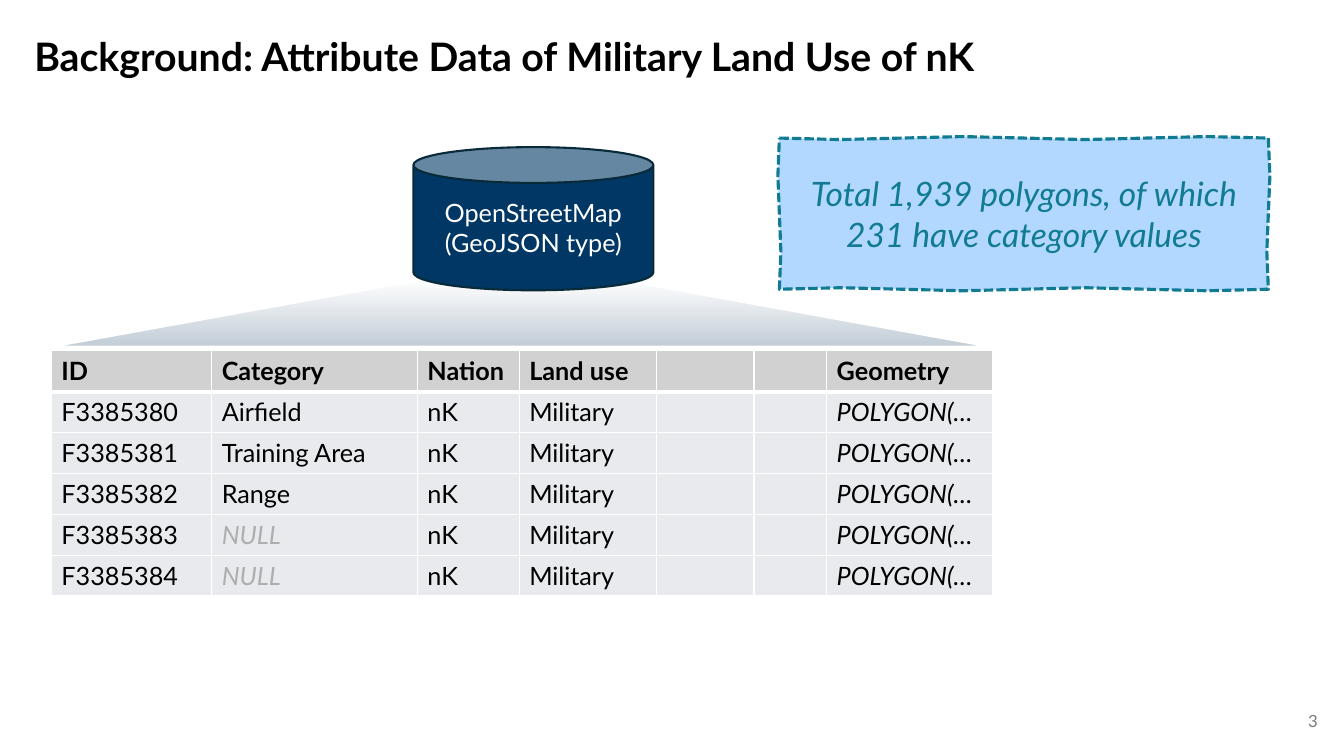
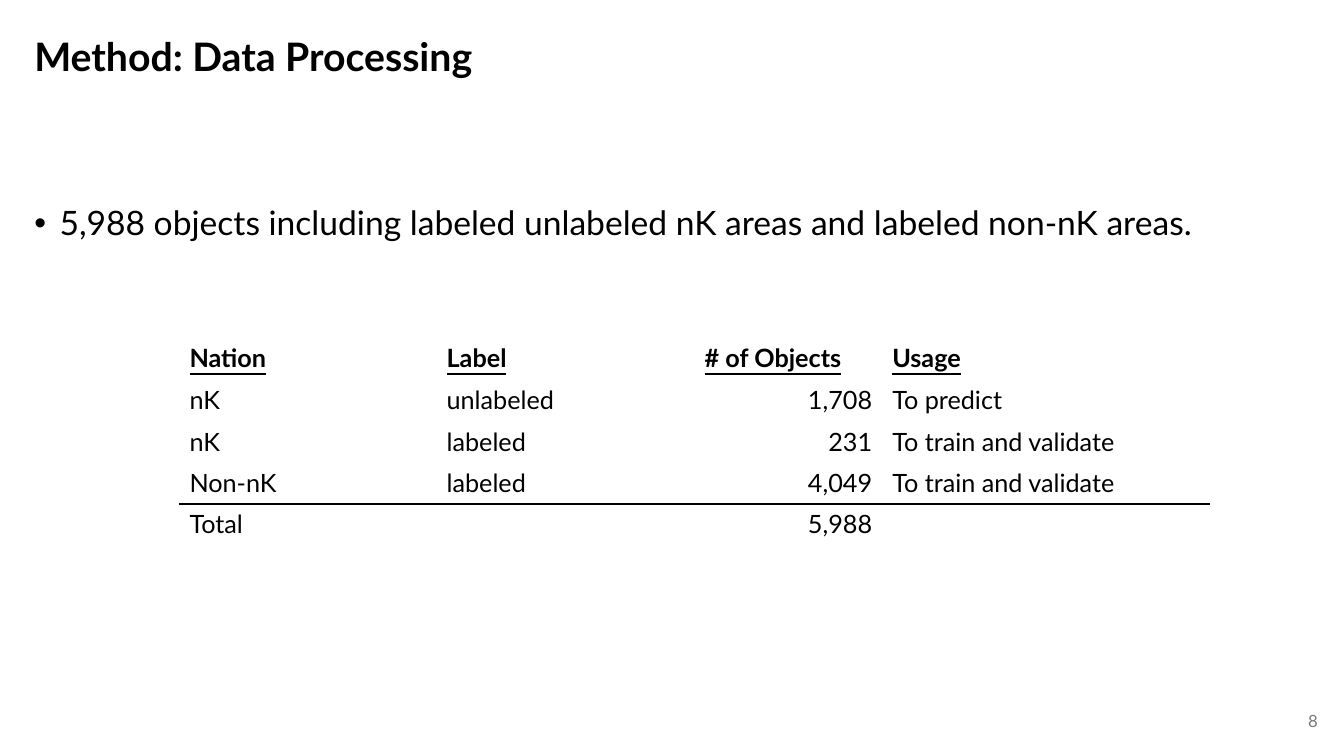
import math

from lxml import etree
from pptx import Presentation
from pptx import util as u
from pptx.dml.color import RGBColor
from pptx.enum import dml, shapes, text
from pptx.oxml import ns

# Shared look
FONT = "Lato"
BLACK, WHITE, GRAY, PALE_GRAY = "000000", "FFFFFF", "797979", "AEAEAE"
HEADER_FILL, ROW_FILL = "D1D1D1", "E8EAED"
NAVY, NAVY_LINE, SHADE = "003764", "092A39", "C2CDD7"
SKY, TEAL = "B3D8FF", "107B92"
rgb = RGBColor.from_string


def add_run(paragraph, wording, size, color=BLACK, bold=False, italic=False, underline=False):
    run = paragraph.add_run()
    run.text = wording
    run.font.name = FONT
    run.font.size = u.Pt(size)
    run.font.color.rgb = rgb(color)
    run.font.bold = bold
    run.font.italic = italic
    run.font.underline = underline


def add_grid(slide, left, top, widths, heights, rows, rules, fills=None, underline=False):
    """Table with white borders; rules maps a row to the (colour, points) below it."""
    table = slide.shapes.add_table(
        len(rows), len(widths), u.Inches(left), u.Inches(top),
        u.Inches(sum(widths)), u.Inches(sum(heights))).table
    table.first_row = table.horz_banding = False
    for column, width in zip(table.columns, widths):
        column.width = u.Inches(width)
    plain = (WHITE, 1)
    for r, wordings in enumerate(rows):
        table.rows[r].height = u.Inches(heights[r])
        for c, wording in enumerate(wordings):
            cell = table.cell(r, c)
            properties = cell._tc.get_or_add_tcPr()
            borders = {"lnL": plain, "lnR": plain,
                       "lnT": rules.get(r - 1, plain), "lnB": rules.get(r, plain)}
            for side, (color, points) in borders.items():
                border = etree.SubElement(properties, ns.qn("a:" + side), w=str(u.Pt(points)))
                solid = etree.SubElement(border, ns.qn("a:solidFill"))
                etree.SubElement(solid, ns.qn("a:srgbClr"), val=color)
            if fills:
                cell.fill.solid()
                cell.fill.fore_color.rgb = rgb(fills[0] if r == 0 else fills[1])
            else:
                cell.fill.background()
            if wording:
                paragraph = cell.text_frame.paragraphs[0]
                if wording.replace(",", "").isdigit():
                    paragraph.alignment = text.PP_ALIGN.RIGHT
                missing = wording == "NULL"
                add_run(paragraph, wording, 18, PALE_GRAY if missing else BLACK,
                        bold=r == 0, italic=missing or wording.startswith("POLYGON"),
                        underline=underline and r == 0)


presentation = Presentation()
presentation.slide_width = u.Inches(13.33)
presentation.slide_height = u.Inches(7.5)

# Titles and page numbers
slides = []
for layout, title, number in [
        (5, "Background: Attribute Data of Military Land Use of nK", "3"),
        (1, "Method: Data Processing", "8")]:
    slide = presentation.slides.add_slide(presentation.slide_layouts[layout])
    slides.append(slide)
    heading = slide.shapes.title
    heading.left, heading.top = u.Inches(0.24), u.Inches(0.15)
    heading.width, heading.height = u.Inches(12.93), u.Inches(0.87)
    page = slide.shapes.add_textbox(u.Inches(10.17), u.Inches(6.95), u.Inches(3), u.Inches(0.4))
    for shape, wording, size, color, alignment in [
            (heading, title, 28, BLACK, text.PP_ALIGN.LEFT),
            (page, number, 12, GRAY, text.PP_ALIGN.RIGHT)]:
        frame = shape.text_frame
        frame.word_wrap = True
        frame.auto_size = text.MSO_AUTO_SIZE.NONE
        frame.vertical_anchor = text.MSO_ANCHOR.MIDDLE
        frame.paragraphs[0].alignment = alignment
        add_run(frame.paragraphs[0], wording, size, color, bold=shape is heading)
    heading.text_frame.paragraphs[0].line_spacing = 0.9
background, method = slides

# Background: attribute table
categories = ["Airfield", "Training Area", "Range", "NULL", "NULL"]
attribute_rows = [["ID", "Category", "Nation", "Land use", "", "", "Geometry"]]
for index, category in enumerate(categories):
    attribute_rows.append(
        [f"F{3385380 + index}", category, "nK", "Military", "", "", "POLYGON(…"])
add_grid(background, 0.51, 3.48, [1.59, 2.04, 1.01, 1.36, 0.97, 0.72, 1.65], [2.43 / 6] * 6,
         attribute_rows, {0: (WHITE, 3)}, fills=(HEADER_FILL, ROW_FILL))

# Background: beam from the database to the table
beam = background.shapes.add_shape(
    shapes.MSO_SHAPE.TRAPEZOID, u.Inches(0.51), u.Inches(2.76), u.Inches(9.31), u.Inches(0.68))
beam.adjustments[0] = 5.514
beam.fill.gradient()
beam.fill.gradient_angle = 90
for stop, color in zip(beam.fill.gradient_stops, [SHADE, WHITE]):
    stop.color.rgb = rgb(color)

# Background: database
database = background.shapes.add_shape(
    shapes.MSO_SHAPE.CAN, u.Inches(4.1), u.Inches(1.46), u.Inches(2.38), u.Inches(1.42))

# Background: callout with a hand-drawn wavy outline, in thousandths of an inch
left, top, right, bottom = 7730, 1370, 12580, 2870
corners = [(left, top), (right, top), (right, bottom), (left, bottom)]
outline = []
for edge, (x, y) in enumerate(corners):
    next_x, next_y = corners[(edge + 1) % 4]
    steps = 8 if y == next_y else 4
    for step in range(steps):
        part = step / steps
        sway = 15 * math.sin(math.pi / 2 * step)
        outline.append((x + (next_x - x) * part + (sway if x == next_x else 0),
                        y + (next_y - y) * part + (sway if y == next_y else 0)))
builder = background.shapes.build_freeform(*outline[0], scale=u.Inches(1) / 1000)
builder.add_line_segments(outline[1:], close=True)
callout = builder.convert_to_shape()
callout.line.dash_style = dml.MSO_LINE.SQUARE_DOT

# Background: fills, lines and labels
for shape, fill, line, points in [
        (beam, None, WHITE, 1.5), (database, NAVY, NAVY_LINE, 1.5), (callout, SKY, TEAL, 2.25)]:
    shape.shadow.inherit = False
    if fill:
        shape.fill.solid()
        shape.fill.fore_color.rgb = rgb(fill)
    shape.line.color.rgb = rgb(line)
    shape.line.width = u.Pt(points)
for shape, wording, size, color in [
        (database, "OpenStreetMap (GeoJSON type)", 18, WHITE),
        (callout, "Total 1,939 polygons, of which 231 have category values", 24, TEAL)]:
    frame = shape.text_frame
    frame.word_wrap = True
    frame.vertical_anchor = text.MSO_ANCHOR.MIDDLE
    frame.paragraphs[0].alignment = text.PP_ALIGN.CENTER
    add_run(frame.paragraphs[0], wording, size, color, italic=shape is callout)

# Method: bullet
body = method.placeholders[1]
body.left, body.top = u.Inches(0.24), u.Inches(2)
body.width, body.height = u.Inches(12.93), u.Inches(4.76)
body.text_frame.auto_size = text.MSO_AUTO_SIZE.NONE
paragraph = body.text_frame.paragraphs[0]
indent = u.Inches(0.25)
properties = paragraph._p.get_or_add_pPr()
properties.set("marL", str(indent))
properties.set("indent", str(-indent))
etree.SubElement(properties, ns.qn("a:buChar"), char="•")
paragraph.line_spacing = 0.9
paragraph.space_before = u.Pt(0)
add_run(paragraph,
        "5,988 objects including labeled unlabeled nK areas and labeled non-nK areas.", 24)

# Method: object counts
count_rows = [
    ["Nation", "Label", "# of Objects", "Usage"],
    ["nK", "unlabeled", "1,708", "To predict"],
    ["nK", "labeled", "231", "To train and validate"],
    ["Non-nK", "labeled", "4,049", "To train and validate"],
    ["Total", "", "5,988", ""],
]
add_grid(method, 1.78, 3.35, [2.55, 2.56, 1.86, 3.25], [0.42] + [0.41] * 4,
         count_rows, {3: (BLACK, 1)}, underline=True)

presentation.save("out.pptx")
